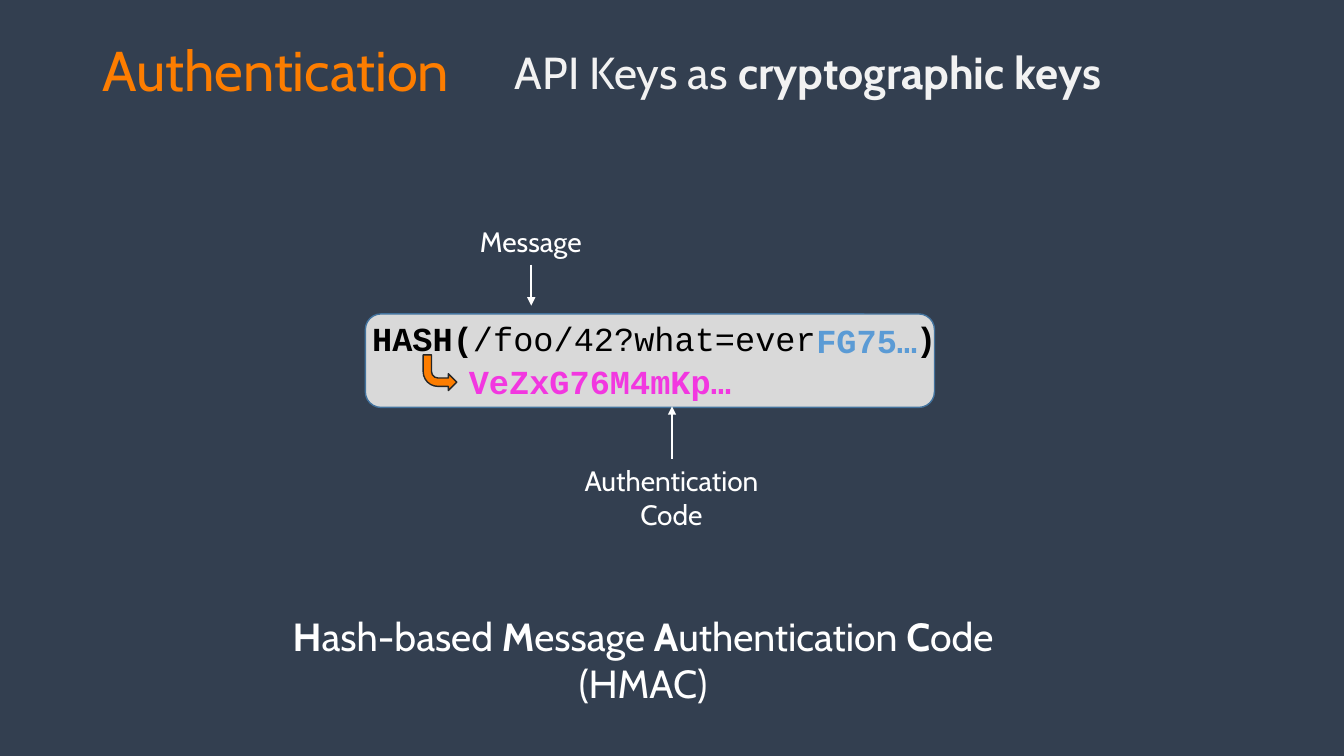
from dataclasses import dataclass

from lxml import etree
from pptx import Presentation, dml
from pptx import util as u
from pptx.dml import color
from pptx.enum import shapes, text
from pptx.oxml import ns

PX = 9525
COLOURS = {
    "slate": "333F50", "grey": "D9D9D9", "steel": "43739E", "blue": "5B9BD5",
    "black": "000000", "pink": "F237E0", "orange": "FD7D00",
    "charcoal": "262626", "pale": "F2F2F2", "white": "FFFFFF",
}
SANS, MONO = "Cabin", "Courier New"


@dataclass(frozen=True)
class Span:
    words: str
    bold: bool = False


@dataclass(frozen=True)
class Label:
    area: tuple[int, int, int, int]
    lines: list[list[Span]]
    size: int
    colour: str
    font: str = SANS
    centred: bool = False
    wrap: bool = True
    before: int = 0
    spacing: float = 1.0


@dataclass(frozen=True)
class Block:
    kind: shapes.MSO_SHAPE
    area: tuple[int, int, int, int]
    fill: str
    line: str
    flipped: bool = False


@dataclass(frozen=True)
class Arrow:
    x: int
    start: int
    end: int


BLOCKS = [
    Block(shapes.MSO_SHAPE.ROUNDED_RECTANGLE, (348, 299, 542, 89), "grey", "steel"),
    Block(shapes.MSO_SHAPE.BENT_ARROW, (403, 338, 32, 34), "orange", "charcoal", True),
]
LABELS = [
    Label((768, 300, 132, 48), [[Span("FG75…", True)]], 24, "blue", MONO),
    Label((345, 298, 480, 48),
          [[Span("HASH(", True), Span("/foo/42?what=ever")]], 24, "black", MONO),
    Label((863, 298, 40, 48), [[Span(")", True)]], 24, "black", MONO),
    Label((437, 339, 351, 48), [[Span("VeZxG76M4mKp…", True)]], 24, "pink", MONO),
    Label((481, 38, 583, 61),
          [[Span("API Keys as "), Span("cryptographic keys", True)]],
          32, "pale", wrap=False),
    Label((88, 36, 1104, 457), [[Span("Authentication")]], 40, "orange",
          before=10, spacing=0.9),
    Label((411, 209, 189, 42), [[Span("Message")]], 20, "white", centred=True),
    Label((545, 437, 189, 74), [[Span("Authentication Code")]], 20, "white",
          centred=True),
    Label((224, 578, 777, 100),
          [[Span("H", True), Span("ash-based "), Span("M", True), Span("essage "),
            Span("A", True), Span("uthentication "), Span("C", True), Span("ode")],
           [Span("(HMAC)")]],
          28, "white", centred=True),
]
ARROWS = [Arrow(506, 252, 291), Arrow(640, 437, 387)]


def rgb(name: str) -> color.RGBColor:
    return color.RGBColor.from_string(COLOURS[name])


def scaled(*lengths: int) -> list[int]:
    return [length * PX for length in lengths]


def draw_block(page, block: Block) -> None:
    shape = page.shapes.add_shape(block.kind, *scaled(*block.area))
    shape.shadow.inherit = False
    shape.fill.solid()
    shape.fill.fore_color.rgb = rgb(block.fill)
    shape.line.color.rgb = rgb(block.line)
    shape.line.width = u.Pt(1)
    if block.flipped:
        shape.element.spPr.xfrm.set("flipV", "1")


def draw_label(page, label: Label) -> None:
    box = page.shapes.add_textbox(*scaled(*label.area))
    frame = box.text_frame
    frame.word_wrap = label.wrap
    para = frame.paragraphs[0]
    para.space_before = u.Pt(label.before)
    para.line_spacing = label.spacing
    if label.centred:
        para.alignment = text.PP_ALIGN.CENTER
    for number, line in enumerate(label.lines):
        if number:
            para.add_line_break()
        for span in line:
            run = para.add_run()
            run.text = span.words
            run.font.name = label.font
            run.font.size = u.Pt(label.size)
            run.font.bold = span.bold
            run.font.color.rgb = rgb(label.colour)


def draw_arrow(page, arrow: Arrow) -> None:
    connector = page.shapes.add_connector(
        shapes.MSO_CONNECTOR.STRAIGHT,
        *scaled(arrow.x, arrow.start, arrow.x, arrow.end))
    connector.line.color.rgb = rgb("white")
    connector.line.width = u.Pt(1.25)
    properties = connector.element.spPr
    etree.SubElement(properties.find(ns.qn("a:ln")), ns.qn("a:tailEnd"), type="triangle")
    etree.SubElement(properties, ns.qn("a:effectLst"))


def main() -> None:
    deck = Presentation()
    deck.slide_width, deck.slide_height = scaled(1280, 720)
    page = deck.slides.add_slide(deck.slide_layouts[6])
    page.background.fill.solid()
    page.background.fill.fore_color.rgb = rgb("slate")
    for block in BLOCKS:
        draw_block(page, block)
    for label in LABELS:
        draw_label(page, label)
    for arrow in ARROWS:
        draw_arrow(page, arrow)
    deck.save("out.pptx")


if __name__ == "__main__":
    main()
